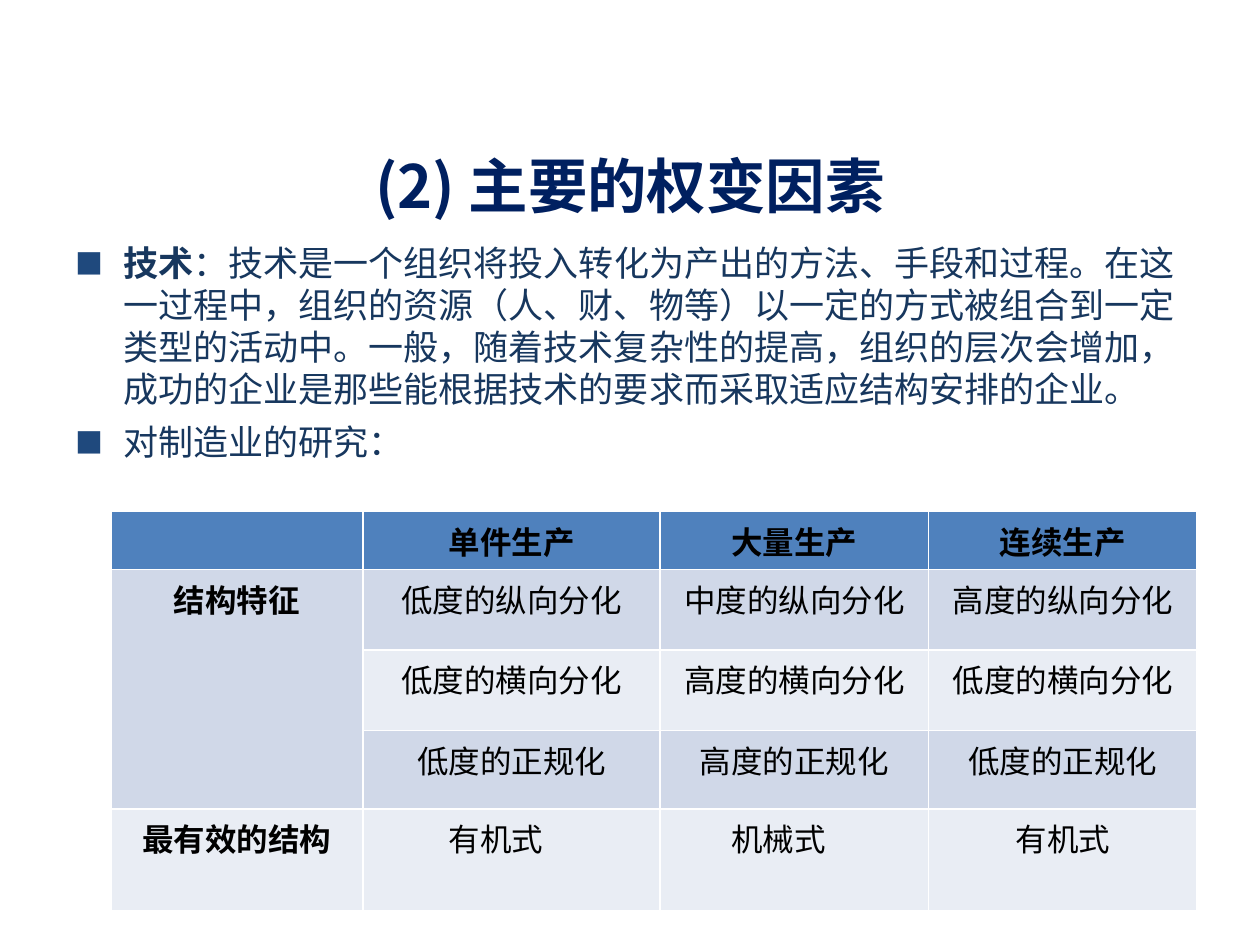
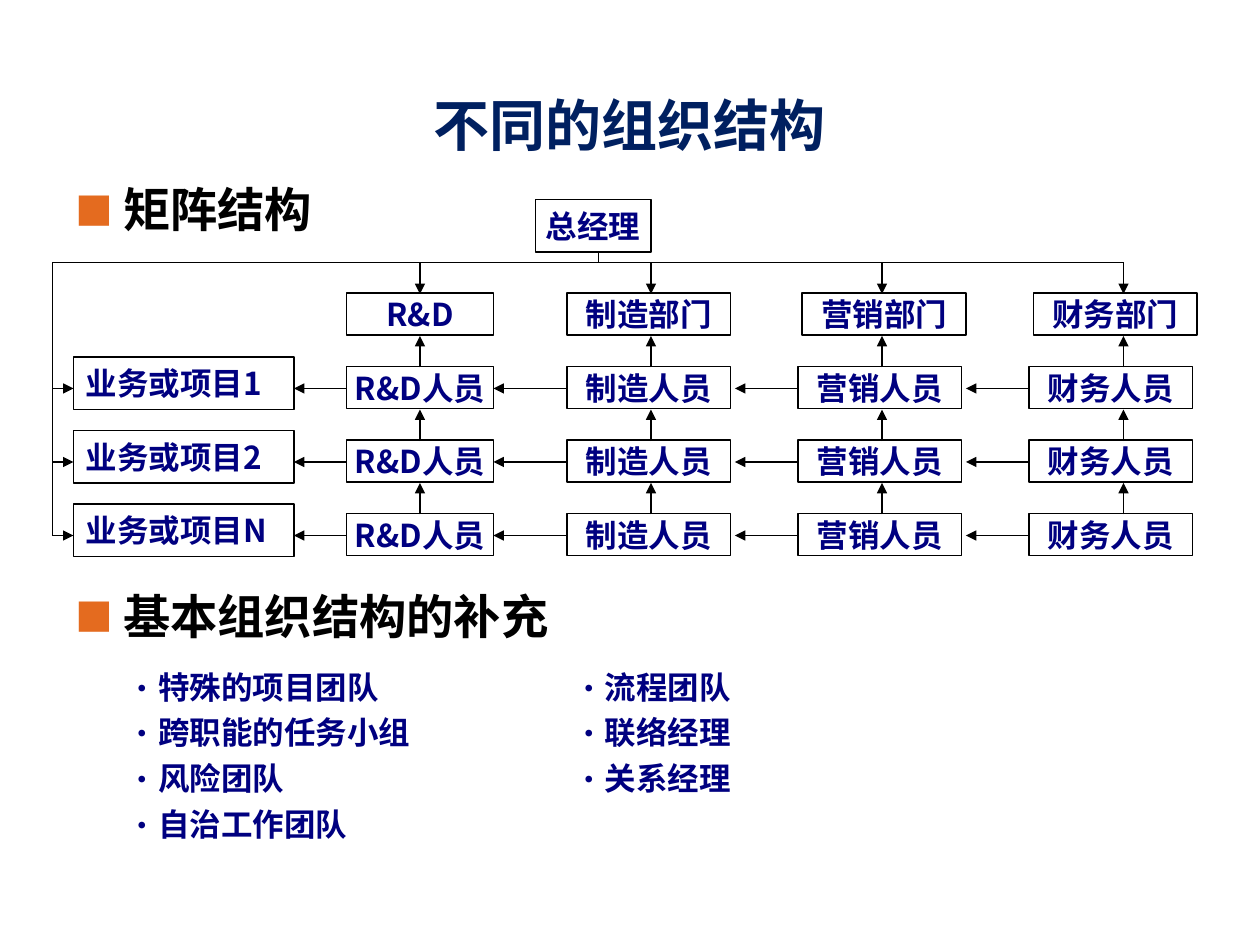
"""Build two slides on contingency factors and matrix organisation."""
from lxml import etree
from pptx import Presentation
from pptx.dml.color import RGBColor
from pptx.enum.shapes import MSO_CONNECTOR, MSO_SHAPE
from pptx.enum.text import MSO_ANCHOR, PP_ALIGN
from pptx.oxml.ns import qn
from pptx.util import Inches, Pt

CENTER, LEFT = PP_ALIGN.CENTER, PP_ALIGN.LEFT
MIDDLE, TOP = MSO_ANCHOR.MIDDLE, MSO_ANCHOR.TOP
RECTANGLE, STRAIGHT = MSO_SHAPE.RECTANGLE, MSO_CONNECTOR.STRAIGHT
FONT = "Noto Sans CJK SC"
BLACK, WHITE, NAVY, TITLE_BLUE, BODY_BLUE = "000000", "FFFFFF", "000080", "002060", "17375E"
BULLET_BLUE, BULLET_ORANGE = "1F497D", "E46B1F"
HEADER_FILL, BAND_FILLS = "4F81BD", ("D0D8E8", "E9EDF4")
GRID = Inches(1 / 12)
color = RGBColor.from_string


def style(paragraph, size, ink, bold=True, align=LEFT, before=0, spacing=1.0, bullet=None):
    """Set the spacing, bullet and font of one paragraph."""
    properties = paragraph._p.get_or_add_pPr()
    if bullet:
        character, bullet_color, percent, indent = bullet
        properties.set("marL", str(Inches(indent)))
        properties.set("indent", str(-Inches(indent)))
        holder = etree.SubElement(properties, qn("a:buClr"))
        etree.SubElement(holder, qn("a:srgbClr"), val=bullet_color)
        etree.SubElement(properties, qn("a:buSzPct"), val=str(percent * 1000))
        etree.SubElement(properties, qn("a:buFont"), typeface=FONT)
        etree.SubElement(properties, qn("a:buChar"), char=character)
    paragraph.alignment = align
    paragraph.space_before = Pt(before)
    paragraph.line_spacing = spacing
    font = paragraph.font
    font.name, font.size, font.bold = FONT, Pt(size), bold
    font.color.rgb = color(ink)
    etree.SubElement(properties.find(qn("a:defRPr")), qn("a:ea"), typeface=FONT)


def add_text(slide, left, top, width, height, lines, anchor=TOP, **look):
    """Add a text box, in grid units, with one styled paragraph per line."""
    box = slide.shapes.add_textbox(*(round(n * GRID) for n in (left, top, width, height)))
    frame = box.text_frame
    frame.word_wrap, frame.vertical_anchor = True, anchor
    frame.text = "\n".join(lines)
    for paragraph in frame.paragraphs:
        style(paragraph, **look)
    return frame


presentation = Presentation()
presentation.slide_width, presentation.slide_height = Inches(10), Inches(7.5)
slides = []
for title, top, size in (("(2) 主要的权变因素", 12.8, 34), ("不同的组织结构", 7.1, 32)):
    slide = presentation.slides.add_slide(presentation.slide_layouts[6])
    add_text(slide, 6, top, 108, 9.5, [title], MIDDLE, size=size, ink=TITLE_BLUE, align=CENTER)
    slides.append(slide)
factors, matrix = slides

body = add_text(factors, 6, 22.4, 108, 26, ["", ""], size=20, ink=BODY_BLUE, bold=False,
                before=4, bullet=("■", BULLET_BLUE, 80, 0.38))
definition, research = body.paragraphs
term = definition.add_run()
term.text, term.font.bold = "技术", True
definition.add_run().text = (
    "：技术是一个组织将投入转化为产出的方法、手段和过程。在这一过程中，组织的资源（人、财、物等）"
    "以一定的方式被组合到一定类型的活动中。一般，随着技术复杂性的提高，组织的层次会增加，"
    "成功的企业是那些能根据技术的要求而采取适应结构安排的企业。")
research.add_run().text = "对制造业的研究："
research.line_spacing = 1.1

rows = [
    ("", "单件生产", "大量生产", "连续生产"),
    ("结构特征", "低度的纵向分化", "中度的纵向分化", "高度的纵向分化"),
    ("", "低度的横向分化", "高度的横向分化", "低度的横向分化"),
    ("", "低度的正规化", "高度的正规化", "低度的正规化"),
    ("最有效的结构", "有机式", "机械式", "有机式"),
]
widths, heights = (2, 2.36, 2.13, 2.13), (0.46, 0.64, 0.64, 0.62, 0.81)
table = factors.shapes.add_table(len(rows), len(widths), Inches(0.88), Inches(4.06),
                                 Inches(sum(widths)), Inches(sum(heights))).table
for column, width in zip(table.columns, widths):
    column.width = Inches(width)
for r, (texts, height) in enumerate(zip(rows, heights)):
    table.rows[r].height = Inches(height)
    for c, text in enumerate(texts):
        cell = table.cell(r, c)
        cell.text = text
        style(cell.text_frame.paragraphs[0], 18, BLACK, bold=r == 0 or c == 0, align=CENTER)
        for side in ("a:lnL", "a:lnR", "a:lnT", "a:lnB"):
            border = etree.SubElement(cell._tc.get_or_add_tcPr(), qn(side), w=str(Pt(1)))
            fill = etree.SubElement(border, qn("a:solidFill"))
            etree.SubElement(fill, qn("a:srgbClr"), val=WHITE)
        cell.fill.solid()
        cell.fill.fore_color.rgb = color(BAND_FILLS[(r - 1) % 2] if r else HEADER_FILL)
        if r == 4 and c in (1, 2):
            cell.margin_right = Inches(0.35)
table.cell(1, 0).merge(table.cell(3, 0))

departments = [
    ("R&D", "R&D人员", 33, 33, 14, 40, 47),
    ("制造部门", "制造人员", 54, 54, 15.6, 62, 70),
    ("营销部门", "营销人员", 76.4, 76, 15.6, 84, 92),
    ("财务部门", "财务人员", 98.4, 98, 15.6, 107, None),
]
project_tops = (34, 41, 48)
boxes = [("总经理", 51, 19, 11, 5, CENTER)]
lines = [(57, 24, 57, 25, False), (5, 25, 107, 25, False), (5, 25, 5, 51, False)]
for name, top in zip("12N", project_tops):
    boxes.append((f"业务或项目{name}", 7, top, 21, 5, LEFT))
    lines.append((5, top + 3, 7, top + 3, True))
arrow_end = 28
for department, staff, head_left, staff_left, width, axis, next_end in departments:
    boxes.append((department, head_left, 27.9, width, 4, CENTER))
    lines.append((axis, 25, axis, 28, True))
    for top in project_tops:
        boxes.append((staff, staff_left, top + 0.9, width, 4, CENTER))
        lines.append((axis, top + 1, axis, top - 2, True))
        lines.append((staff_left, top + 3, arrow_end, top + 3, True))
    arrow_end = next_end

for text, left, top, width, height, align in boxes:
    box = matrix.shapes.add_shape(RECTANGLE, *(round(n * GRID) for n in (left, top, width, height)))
    box.shadow.inherit = False
    box.fill.solid()
    box.fill.fore_color.rgb = color(WHITE)
    box.line.color.rgb, box.line.width = color(BLACK), Pt(0.75)
    frame = box.text_frame
    frame.word_wrap, frame.vertical_anchor = False, MIDDLE
    frame.margin_top = frame.margin_bottom = 0
    frame.margin_left = frame.margin_right = Inches(0.1 if align == LEFT else 0)
    frame.text = text
    style(frame.paragraphs[0], 18, NAVY, align=align)

for *ends, arrow in lines:
    connector = matrix.shapes.add_connector(STRAIGHT, *(round(n * GRID) for n in ends))
    connector.line.color.rgb, connector.line.width = color(BLACK), Pt(0.75)
    if arrow:
        etree.SubElement(connector.line._get_or_add_ln(), qn("a:tailEnd"), type="triangle")
    etree.SubElement(connector._element.spPr, qn("a:effectLst"))

for heading, top in (("矩阵结构", 16.6), ("基本组织结构的补充", 55.3)):
    add_text(matrix, 6, top, 54, 6.7, [heading], size=27, ink=BLACK,
             bullet=("■", BULLET_ORANGE, 80, 0.38))
for left, teams in (
    (10.9, ["特殊的项目团队", "跨职能的任务小组", "风险团队", "自治工作团队"]),
    (53.4, ["流程团队", "联络经理", "关系经理"]),
):
    add_text(matrix, left, 63, 30, 5.3 * len(teams), teams, size=18, ink=NAVY, before=4.5,
             bullet=("•", NAVY, 100, 0))

presentation.save("out.pptx")
